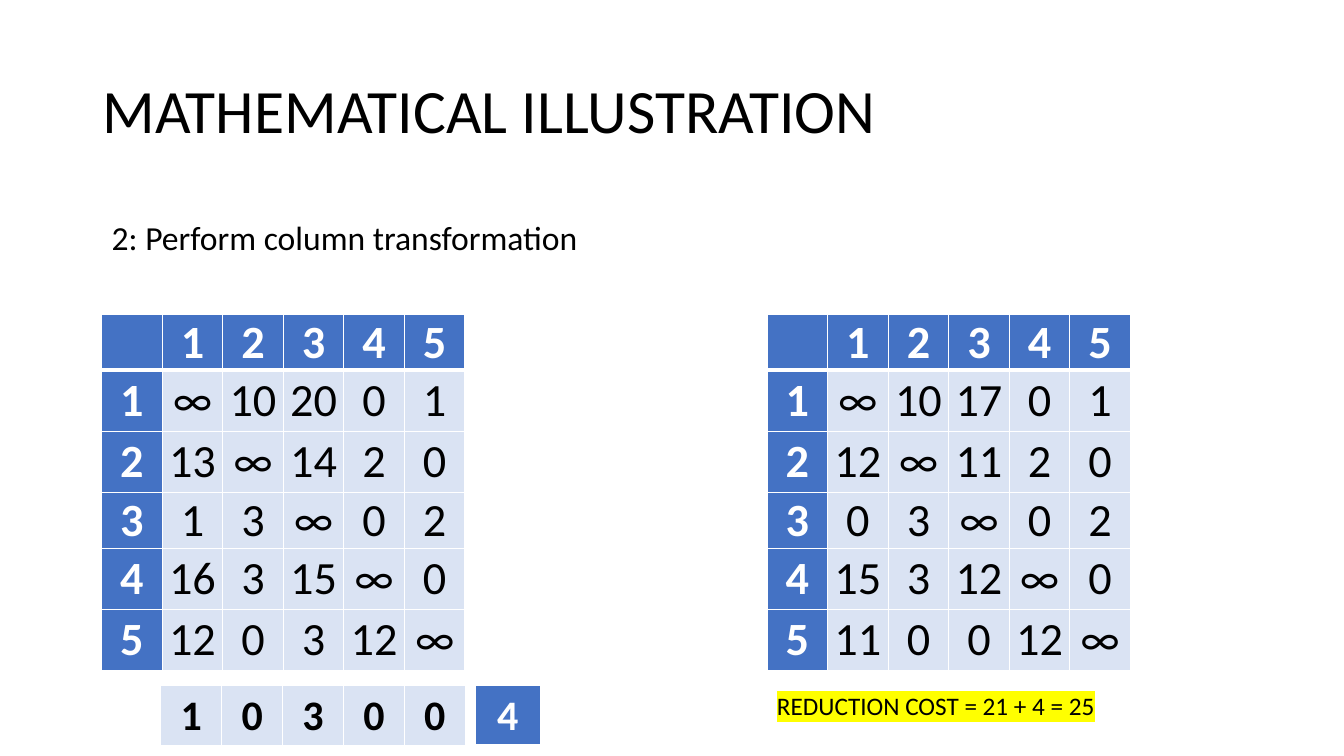
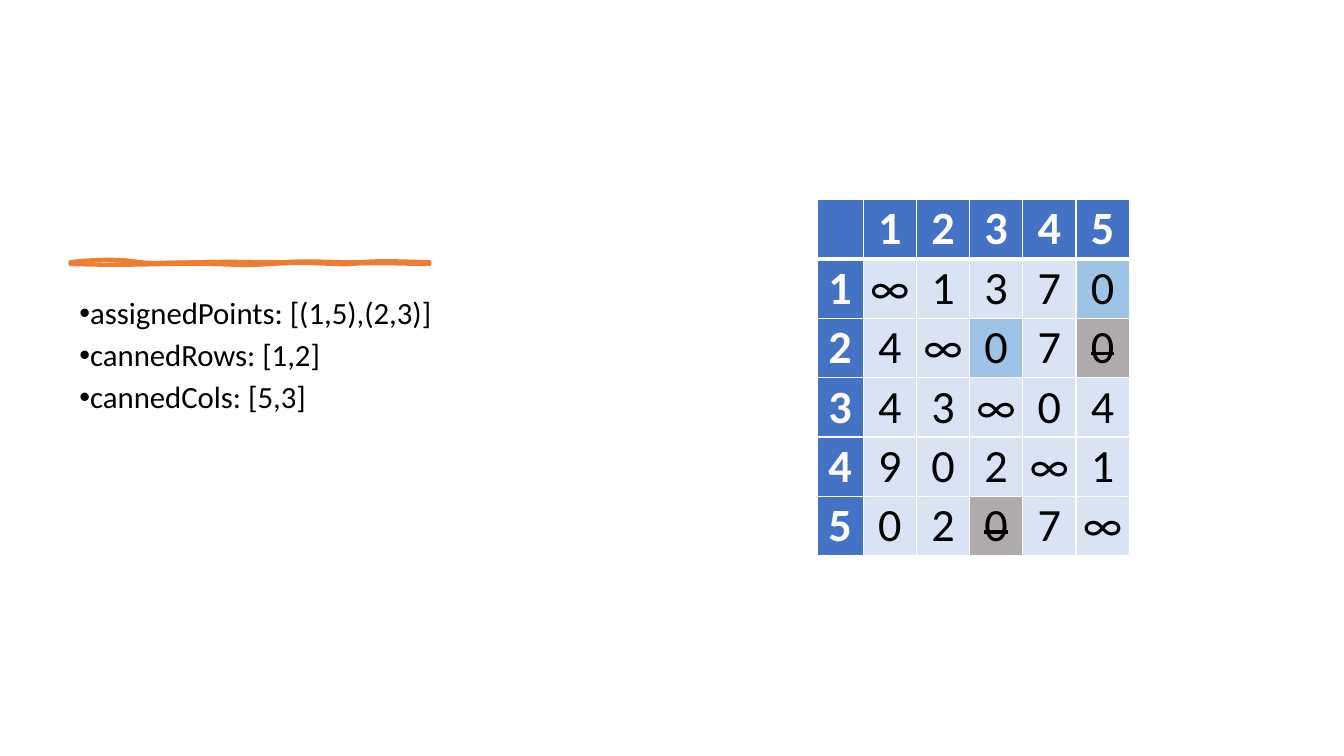
"""Build two slides on the assignment problem: column reduction and assigned zeros."""
from lxml.etree import SubElement
from pptx import Presentation
from pptx.dml.color import RGBColor
from pptx.enum.text import MSO_ANCHOR, PP_ALIGN
from pptx.oxml.ns import qn
from pptx.util import Pt

COLORS = {
    "black": "000000",
    "white": "FFFFFF",
    "header": "4472C4",
    "body": "DAE3F3",
    "assigned": "9DC3E6",
    "struck": "AFABAB",
    "accent": "ED7D31",
    "marker": "FFFF00",
}
FONT = "Calibri"


def add_run(p, text, size, color="black", bold=False):
    r = p.add_run()
    r.text = text
    r.font.name = FONT
    r.font.size = Pt(size)
    r.font.bold = bold
    r.font.color.rgb = RGBColor.from_string(COLORS[color])
    return r


def add_grid(s, rows, left, top, widths, heights, size=33, margin=0,
             head_rows=1, head_cols=1, bold=False, marks=None):
    marks = marks or {}
    frame = s.shapes.add_table(len(rows), len(widths), Pt(left), Pt(top),
                               Pt(sum(widths)), Pt(sum(heights)))
    table = frame.table
    table.first_row = table.horz_banding = False
    for column, width in zip(table.columns, widths):
        column.width = Pt(width)
    for row, height in zip(table.rows, heights):
        row.height = Pt(height)
    for i, values in enumerate(rows):
        for j, value in enumerate(values):
            head = i < head_rows or j < head_cols
            mark = marks.get((i, j), "header" if head else "body")
            cell = table.cell(i, j)
            tcPr = cell._tc.get_or_add_tcPr()
            thick = {"lnT": 0 < i == head_rows, "lnB": i == head_rows - 1}
            for side in ("lnL", "lnR", "lnT", "lnB"):
                ln = SubElement(tcPr, qn("a:" + side),
                                w=str(Pt(3 if thick.get(side) else 1)))
                fill = SubElement(ln, qn("a:solidFill"))
                SubElement(fill, qn("a:srgbClr"), val=COLORS["white"])
            cell.fill.solid()
            cell.fill.fore_color.rgb = RGBColor.from_string(COLORS[mark])
            cell.vertical_anchor = MSO_ANCHOR.MIDDLE
            cell.margin_left = cell.margin_right = Pt(2 * margin)
            cell.margin_top = cell.margin_bottom = Pt(margin)
            if value:
                p = cell.text_frame.paragraphs[0]
                p.alignment = PP_ALIGN.CENTER
                r = add_run(p, value, size, "white" if head else "black", head or bold)
                if mark == "struck":
                    r._r.get_or_add_rPr().set("strike", "sngStrike")


prs = Presentation()
prs.slide_width, prs.slide_height = Pt(960), Pt(540)
title_only, blank = prs.slide_layouts[5], prs.slide_layouts[6]
header = ["", "1", "2", "3", "4", "5"]

s = prs.slides.add_slide(title_only)
title = s.shapes.title
title.left, title.top, title.width, title.height = Pt(66), Pt(28.75), Pt(828), Pt(104.4)
title.text_frame.vertical_anchor = MSO_ANCHOR.MIDDLE
p = title.text_frame.paragraphs[0]
p.alignment = PP_ALIGN.LEFT
p.line_spacing = 0.9
add_run(p, "MATHEMATICAL ILLUSTRATION", 44)

captions = [
    ("2: Perform column transformation", 72.7, 151.6, 372, 36, 24, False),
    ("REDUCTION COST = 21 + 4 = 25", 547.9, 489.4, 260, 29, 18, True),
]
for text, left, top, width, height, size, marked in captions:
    sp = s.shapes.add_textbox(Pt(left), Pt(top), Pt(width), Pt(height))
    sp.text_frame.word_wrap = True
    r = add_run(sp.text_frame.paragraphs[0], text, size)
    if marked:
        rPr = r._r.get_or_add_rPr()
        highlight = SubElement(rPr, qn("a:highlight"))
        SubElement(highlight, qn("a:srgbClr"), val=COLORS["marker"])
        rPr.find(qn("a:latin")).addprevious(highlight)

matrices = [
    (547.9, ["∞ 10 17 0 1", "12 ∞ 11 2 0", "0 3 ∞ 0 2", "15 3 12 ∞ 0", "11 0 0 12 ∞"]),
    (72.6, ["∞ 10 20 0 1", "13 ∞ 14 2 0", "1 3 ∞ 0 2", "16 3 15 ∞ 0", "12 0 3 12 ∞"]),
]
for left, lines in matrices:
    rows = [header] + [[str(i)] + line.split() for i, line in enumerate(lines, 1)]
    add_grid(s, rows, left, 224.4, [43.28] * 6, [40, 43.7, 43.7, 40, 43.7, 43.7])

add_grid(s, ["1 0 3 0 0".split()], 114.9, 489.4, [43.5] * 5, [43], size=30, margin=3.6,
         head_rows=0, head_cols=0, bold=True)
add_grid(s, [["4"]], 339.3, 489.4, [46.7], [43], size=30, margin=3.6)

s = prs.slides.add_slide(blank)
left, top, right, bottom = 50.4, 187.2, 306.7, 188.6
outline_edges = [
    [(left, top), (69.8, 185), (87.1, 185), (99.4, 187.2), (111.6, 188.6),
     (127.4, 187.2), (150.5, 187.2), (173.5, 186.5), (187.2, 187.9), (204.5, 187.2),
     (221.8, 185.8), (244.1, 187.9), (258.5, 187.2), (272.9, 185.8), (296.6, 187.2),
     (right, top)],
    [(right, bottom), (293.8, 188.6), (262.1, 187.2), (250.6, 188.6), (239, 189.4),
     (218.9, 186.5), (194.4, 188.6), (169.2, 190.1), (166.3, 188.6), (143.3, 188.6),
     (119.5, 187.9), (95, 190.1), (left, bottom)],
]
fill_edges = [
    [(left, top), (73.4, 188.6), (79.2, 187.2), (99.4, 187.2), (119.5, 186.5),
     (121.7, 185), (143.3, 187.2), (164.2, 188.6), (187.9, 187.9), (199.4, 187.2),
     (211, 185.8), (235.4, 188.6), (247.7, 187.2), (260.6, 185), (285.8, 189.4),
     (right, top)],
    [(right, bottom), (296.6, 187.9), (267.8, 190.1), (255.6, 188.6), (243.4, 186.5),
     (224.6, 188.6), (199.4, 188.6), (175.7, 187.9), (172.8, 187.2), (155.5, 188.6),
     (139, 189.4), (128.9, 187.9), (104.4, 188.6), (79.9, 188.6), (66.2, 187.9),
     (left, bottom)],
]
builder = s.shapes.build_freeform(Pt(left), Pt(top))
builder.add_line_segments([(Pt(right), Pt(top)), (Pt(right), Pt(bottom)),
                           (Pt(left), Pt(bottom))], close=True)
stroke = builder.convert_to_shape()
stroke.shadow.inherit = False
stroke.fill.solid()
stroke.fill.fore_color.rgb = stroke.line.color.rgb = RGBColor.from_string(COLORS["accent"])
stroke.line.width = Pt(3)
SubElement(stroke.line._get_or_add_ln(), qn("a:round"))

outlines = stroke._element.spPr.find(qn("a:custGeom")).find(qn("a:pathLst"))
for outline in list(outlines):
    outlines.remove(outline)
for edges, hidden in ((outline_edges, {"fill": "none"}), (fill_edges, {"stroke": "0"})):
    outline = SubElement(outlines, qn("a:path"), w=str(stroke.width),
                         h=str(stroke.height), **hidden)
    for n, edge in enumerate(edges):
        segments = [("moveTo" if n == 0 else "lnTo", edge[:1])]
        segments += [("cubicBezTo", edge[k:k + 3]) for k in range(1, len(edge), 3)]
        for kind, points in segments:
            segment = SubElement(outline, qn("a:" + kind))
            for x, y in points:
                SubElement(segment, qn("a:pt"), x=str(Pt(x - left)), y=str(Pt(y - top)))
    SubElement(outline, qn("a:close"))

sp = s.shapes.add_textbox(Pt(49.7), Pt(209.5), Pt(379.4), Pt(279.4))
tf = sp.text_frame
tf.word_wrap = True
for i, text in enumerate(["assignedPoints: [(1,5),(2,3)]", "cannedRows: [1,2]",
                          "cannedCols: [5,3]"]):
    p = tf.paragraphs[0] if i == 0 else tf.add_paragraph()
    p.line_spacing = 0.9
    p.space_after = Pt(6)
    pPr = p._p.get_or_add_pPr()
    pPr.set("marL", "0")
    pPr.set("indent", str(Pt(-18)))
    SubElement(pPr, qn("a:buFont"), typeface="Arial")
    SubElement(pPr, qn("a:buChar"), char="•")
    add_run(p, text, 22)

lines = ["∞ 1 3 7 0", "4 ∞ 0 7 0", "4 3 ∞ 0 4", "9 0 2 ∞ 1", "0 2 0 7 ∞"]
rows = [header] + [[str(i)] + line.split() for i, line in enumerate(lines, 1)]
add_grid(s, rows, 583.7, 142.4, [32.9] + [38] * 5, [42.46] * 6,
         marks={(1, 5): "assigned", (2, 3): "assigned",
                (2, 5): "struck", (5, 3): "struck"})

prs.save("out.pptx")
